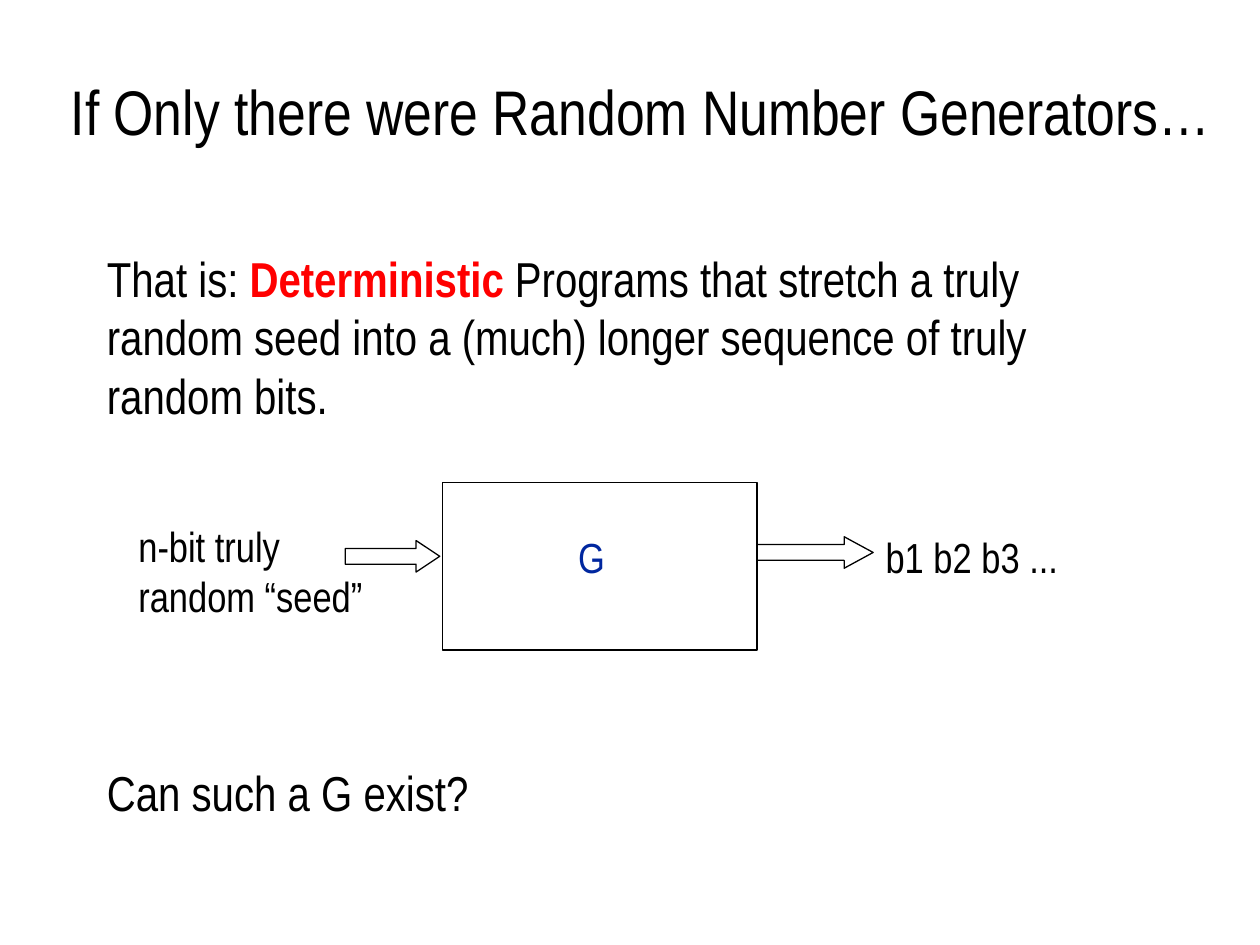
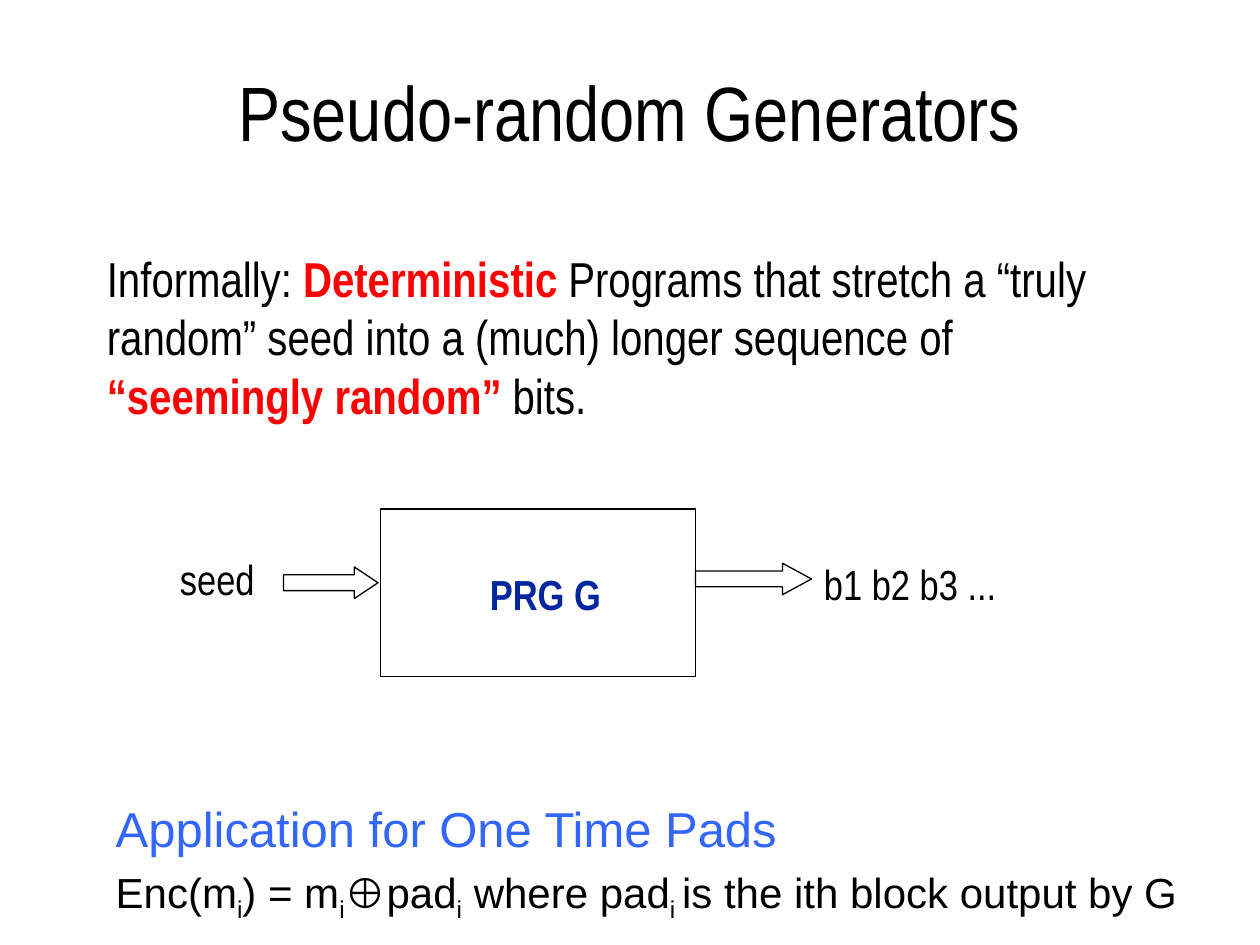
from pptx import Presentation
from pptx.dml.color import RGBColor
from pptx.enum.shapes import MSO_SHAPE
from pptx.enum.text import MSO_ANCHOR, MSO_AUTO_SIZE, PP_ALIGN
from pptx.util import Inches, Pt

RECT, ARROW = MSO_SHAPE.RECTANGLE, MSO_SHAPE.RIGHT_ARROW
TOP, MIDDLE = MSO_ANCHOR.TOP, MSO_ANCHOR.MIDDLE
LEFT, CENTER = PP_ALIGN.LEFT, PP_ALIGN.CENTER
GROW, FIXED = MSO_AUTO_SIZE.SHAPE_TO_FIT_TEXT, MSO_AUTO_SIZE.NONE

BLACK, WHITE, RED, NAVY, BLUE = "000000", "FFFFFF", "FF0000", "00279F", "3366FF"
NARROW, WIDE = "Arial Narrow", "Arial"

BODY = {"name": NARROW, "size": 28, "color": BLACK}
STRONG = {**BODY, "color": RED, "bold": True}
LABEL = {**BODY, "size": 24}
NAME = {**LABEL, "color": NAVY}
HEAD = {**BODY, "name": WIDE, "color": BLUE}
MATH = {**LABEL, "name": WIDE}
SUB = {**MATH, "sub": True}

INTRO = (0.75, 1.92, 8.5, 1.67)
BOX = (2.5, 1.33)
ARROWS = [((-0.77, 0.46, 0.75, 0.25), 0.75), ((2.5, 0.43, 0.92, 0.25), 0.92)]
OUTPUT = ("b1 b2 b3 ...", (3.42, 0.34, 1.59, 0.5))

SLIDES = [
    {
        "title": ("If Only there were Random Number Generators…", 36, (0.17, 0.25, 9.83, 1.25)),
        "intro": [
            ("That is: ", BODY), ("Deterministic", STRONG),
            (" Programs that stretch a truly random seed into a (much) longer "
             "sequence of truly random bits.", BODY),
        ],
        "box": (3.51, 3.83),
        "name": ("G", NAME, (4.49, 4.17, 0.42, 0.5)),
        "seed": (["n-bit truly", "random “seed”"], (1, 4.08, 2, 0.91)),
        "close": ([[("Can such a G exist?", BODY)]], (0.75, 6, 8.5, 1.33)),
    },
    {
        "title": ("Pseudo-random Generators", 44, (0.75, 0.25, 8.5, 1.25)),
        "intro": [
            ("Informally: ", BODY), ("Deterministic", STRONG),
            (" Programs that stretch a “truly random” seed into a (much) longer "
             "sequence of ", BODY),
            ("“seemingly random” ", STRONG), ("bits.", BODY),
        ],
        "box": (3.02, 4.04),
        "name": ("PRG G", {**NAME, "bold": True}, (3.79, 4.46, 1.09, 0.5)),
        "seed": (["seed"], (1.33, 4.34, 0.8, 0.5)),
        "close": ([
            [("Application for One Time Pads", HEAD)],
            [("Enc(m", MATH), ("i", SUB), (") = m", MATH), ("i", SUB),
             ("⊕pad", MATH), ("i", SUB), (" where pad", MATH), ("i ", SUB),
             ("is the ith block output by G", MATH)],
        ], (0.82, 6.29, 9.1, 1.2)),
    },
]


def paint(color):
    return RGBColor.from_string(color)


def place(at):
    return [Inches(v) for v in at]


def style(run, form):
    for key, val in form.items():
        if key == "color":
            run.font.color.rgb = paint(val)
        elif key == "sub":
            run._r.get_or_add_rPr().set("baseline", "-25000")
        else:
            setattr(run.font, key, Pt(val) if key == "size" else val)


def write(slide, paras, at, wrap=True, align=LEFT, anchor=TOP, gap=0):
    frame = slide.shapes.add_textbox(*place(at)).text_frame
    form = {"word_wrap": wrap, "vertical_anchor": anchor,
            "auto_size": FIXED if wrap else GROW}
    for key, val in form.items():
        setattr(frame, key, val)
    for i, runs in enumerate(paras):
        para = frame.add_paragraph() if i else frame.paragraphs[0]
        para.alignment = align
        if i:
            para.space_before = Pt(gap)
        for text, look in runs:
            run = para.add_run()
            run.text = text
            style(run, look)


def draw(slide, kind, at, fill=None):
    shape = slide.shapes.add_shape(kind, *place(at))
    shape.shadow.inherit = False
    if fill:
        shape.fill.solid()
        shape.fill.fore_color.rgb = paint(fill)
    else:
        shape.fill.background()
    shape.line.color.rgb = paint(BLACK)
    shape.line.width = Pt(0.75)
    return shape


def shift(at, base):
    return (at[0] + base[0], at[1] + base[1], *at[2:])


def build(slide, data):
    title, size, spot = data["title"]
    write(slide, [[(title, {**BODY, "size": size})]], spot, align=CENTER, anchor=MIDDLE)
    write(slide, [data["intro"]], INTRO)

    base = data["box"]
    text, at = OUTPUT
    write(slide, [[(text, LABEL)]], shift(at, base), wrap=False)
    draw(slide, RECT, base + BOX)
    text, look, at = data["name"]
    write(slide, [[(text, look)]], at, wrap=False)
    lines, at = data["seed"]
    write(slide, [[(line, LABEL)] for line in lines], at, wrap=False)
    for at, tip in ARROWS:
        arrow = draw(slide, ARROW, shift(at, base), WHITE)
        arrow.adjustments[0] = 0.5
        arrow.adjustments[1] = tip

    paras, at = data["close"]
    write(slide, paras, at, gap=5)


def main():
    deck = Presentation()
    deck.slide_width, deck.slide_height = Inches(10), Inches(7.5)
    for data in SLIDES:
        build(deck.slides.add_slide(deck.slide_layouts[6]), data)
    deck.save("out.pptx")


if __name__ == "__main__":
    main()
